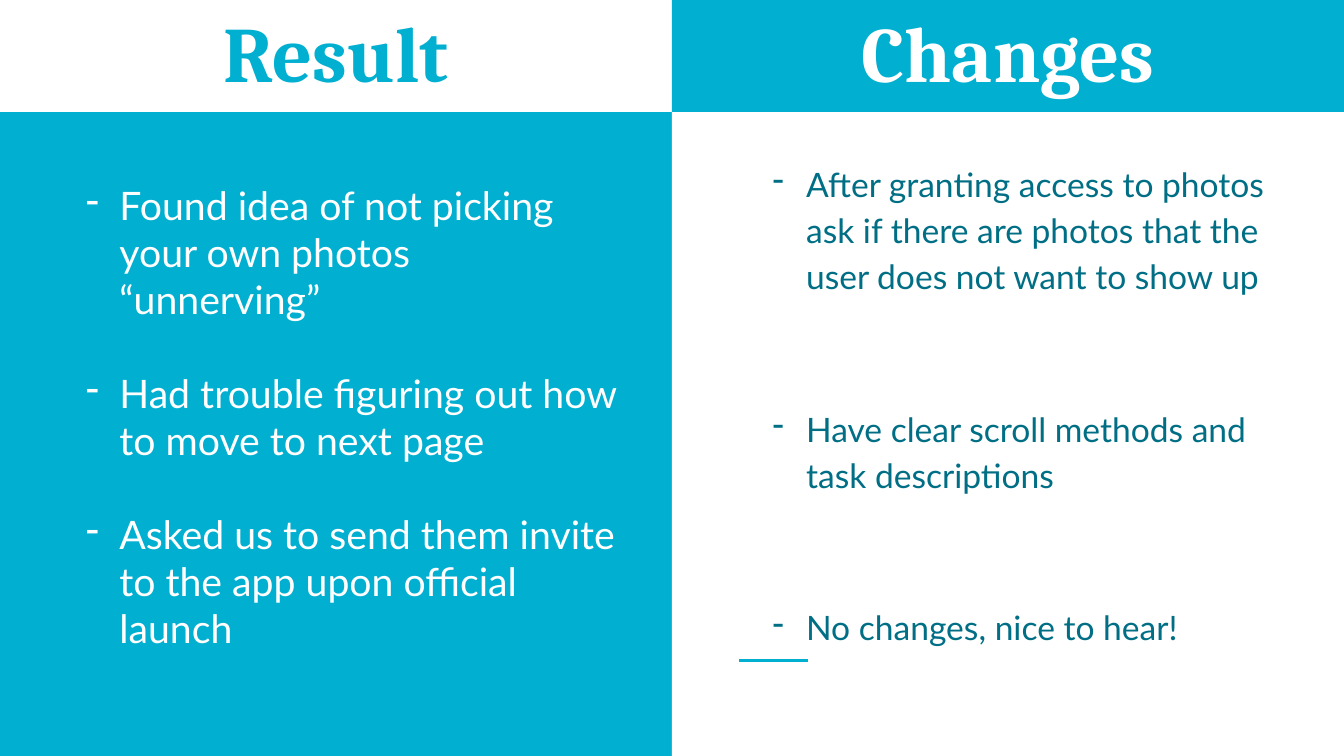
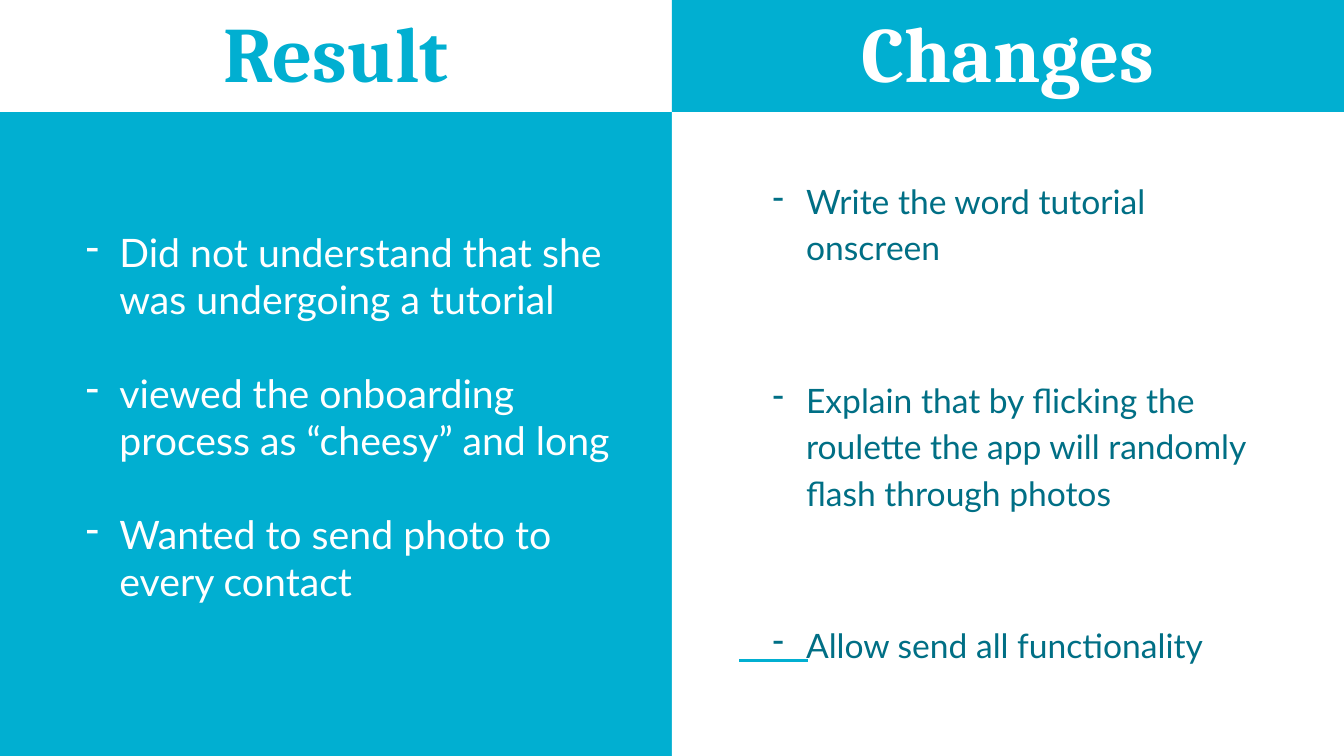
"""Build two slides that set user test results beside the changes they led to."""
from lxml.etree import SubElement
from pptx import Presentation
from pptx.dml.color import RGBColor
from pptx.enum.shapes import MSO_CONNECTOR, MSO_SHAPE
from pptx.enum.text import MSO_ANCHOR, PP_ALIGN
from pptx.oxml.ns import qn
from pptx.util import Inches, Pt

COLORS = {"cyan": "01AFD1", "white": "FFFFFF", "teal": "006F85"}
WIDTH, HEIGHT = Inches(10), Inches(5.625)
COLUMNS, ROWS = 20, 27
HALF, BAND_ROWS = COLUMNS / 2, 4
CHANGES_BOTTOM = 23.19

RESULT_STYLE = {"size": 21, "color": "white", "line_spacing": 1.0, "gap": 25.2}
CHANGES_STYLE = {"size": 18, "color": "teal", "line_spacing": 1.15, "gap": 56.84}

SLIDES = [
    {
        "results": [
            "Found idea of not picking your own photos “unnerving”",
            "Had trouble figuring out how to move to next page",
            "Asked us to send them invite to the app upon official launch",
        ],
        "changes": [
            "After granting access to photos ask if there are photos that "
            "the user does not want to show up",
            "Have clear scroll methods and task descriptions",
            "No changes, nice to hear!",
        ],
        "changes_top": 5.57,
    },
    {
        "results": [
            "Did not understand that she was undergoing a tutorial",
            "viewed the onboarding process as “cheesy” and long",
            "Wanted to send photo to every contact",
        ],
        "changes": [
            "Write the word tutorial onscreen",
            "Explain that by flicking the roulette the app will randomly "
            "flash through photos",
            "Allow send all functionality",
        ],
        "changes_top": 6.82,
    },
]


def rgb(name):
    """Return a palette colour."""
    return RGBColor.from_string(COLORS[name])


def across(columns):
    """Turn grid columns into a length."""
    return round(WIDTH * columns / COLUMNS)


def down(rows):
    """Turn grid rows into a length."""
    return round(HEIGHT * rows / ROWS)


def place(column, row, columns, rows):
    """Turn a grid cell into left, top, width and height."""
    return across(column), down(row), across(columns), down(rows)


def set_font(paragraph, face, size, color, bold=False):
    """Style a whole paragraph."""
    font = paragraph.font
    font.name, font.size, font.bold = face, Pt(size), bold
    font.color.rgb = rgb(color)


def prepare_frame(shape, anchor):
    """Give a shape's text its wrapping, margins and anchor."""
    frame = shape.text_frame
    frame.word_wrap = True
    frame.vertical_anchor = anchor
    frame.margin_left = frame.margin_right = Inches(0.1)
    frame.margin_top = frame.margin_bottom = Inches(0.1)
    return frame


def add_panel(slide, column, rows, color):
    """Add a plain half-width panel that starts at the top."""
    panel = slide.shapes.add_shape(
        MSO_SHAPE.RECTANGLE, *place(column, 0, HALF, rows))
    panel.shadow.inherit = False
    panel.fill.solid()
    panel.fill.fore_color.rgb = rgb(color)
    panel.line.fill.background()
    return panel


def add_heading(slide, column, title, fill, color):
    """Add a title band over one half."""
    band = add_panel(slide, column, BAND_ROWS, fill)
    heading = prepare_frame(band, MSO_ANCHOR.BOTTOM).paragraphs[0]
    heading.text = title
    heading.alignment = PP_ALIGN.CENTER
    set_font(heading, "Cambria", 42, color, bold=True)


def add_dash(paragraph, color):
    """Give a paragraph a hanging dash."""
    properties = paragraph._p.get_or_add_pPr()
    properties.set("marL", str(Inches(0.5)))
    properties.set("indent", str(Inches(-0.25)))
    dash_color = SubElement(properties, qn("a:buClr"))
    SubElement(dash_color, qn("a:srgbClr"), val=COLORS[color])
    SubElement(properties, qn("a:buChar"), char="-")


def add_dash_list(slide, cell, points, size, color, line_spacing, gap):
    """Add a vertically centred list with even gaps between points."""
    frame = prepare_frame(
        slide.shapes.add_textbox(*place(*cell)), MSO_ANCHOR.MIDDLE)
    for index, point in enumerate(points):
        paragraph = frame.add_paragraph() if index else frame.paragraphs[0]
        paragraph.text = point
        add_dash(paragraph, color)
        paragraph.line_spacing = line_spacing
        paragraph.space_before = Pt(gap if index else 0)
        set_font(paragraph, "Lato", size, color)


def add_accent(slide):
    """Add the short rule at the foot of the right half."""
    rule = slide.shapes.add_connector(
        MSO_CONNECTOR.STRAIGHT, across(11), down(23.6), across(12.02), down(23.6))
    rule.line.color.rgb = rgb("cyan")
    rule.line.width = Pt(1.5)
    SubElement(rule._element.spPr, qn("a:effectLst"))


def add_comparison(deck, results, changes, changes_top):
    """Add one slide of results and changes."""
    slide = deck.slides.add_slide(deck.slide_layouts[6])
    slide.background.fill.solid()
    slide.background.fill.fore_color.rgb = rgb("cyan")
    add_panel(slide, HALF, ROWS, "white")
    add_accent(slide)
    add_heading(slide, 0, "Result", "white", "cyan")
    add_dash_list(slide, (0.58, 5.28, 8.84, 19.2), results, **RESULT_STYLE)
    changes_cell = (10.8, changes_top, 8.4, CHANGES_BOTTOM - changes_top)
    add_dash_list(slide, changes_cell, changes, **CHANGES_STYLE)
    add_heading(slide, HALF, "Changes", "cyan", "white")


def main():
    """Build and save the deck."""
    deck = Presentation()
    deck.slide_width, deck.slide_height = WIDTH, HEIGHT
    for content in SLIDES:
        add_comparison(deck, **content)
    deck.save("out.pptx")


if __name__ == "__main__":
    main()
